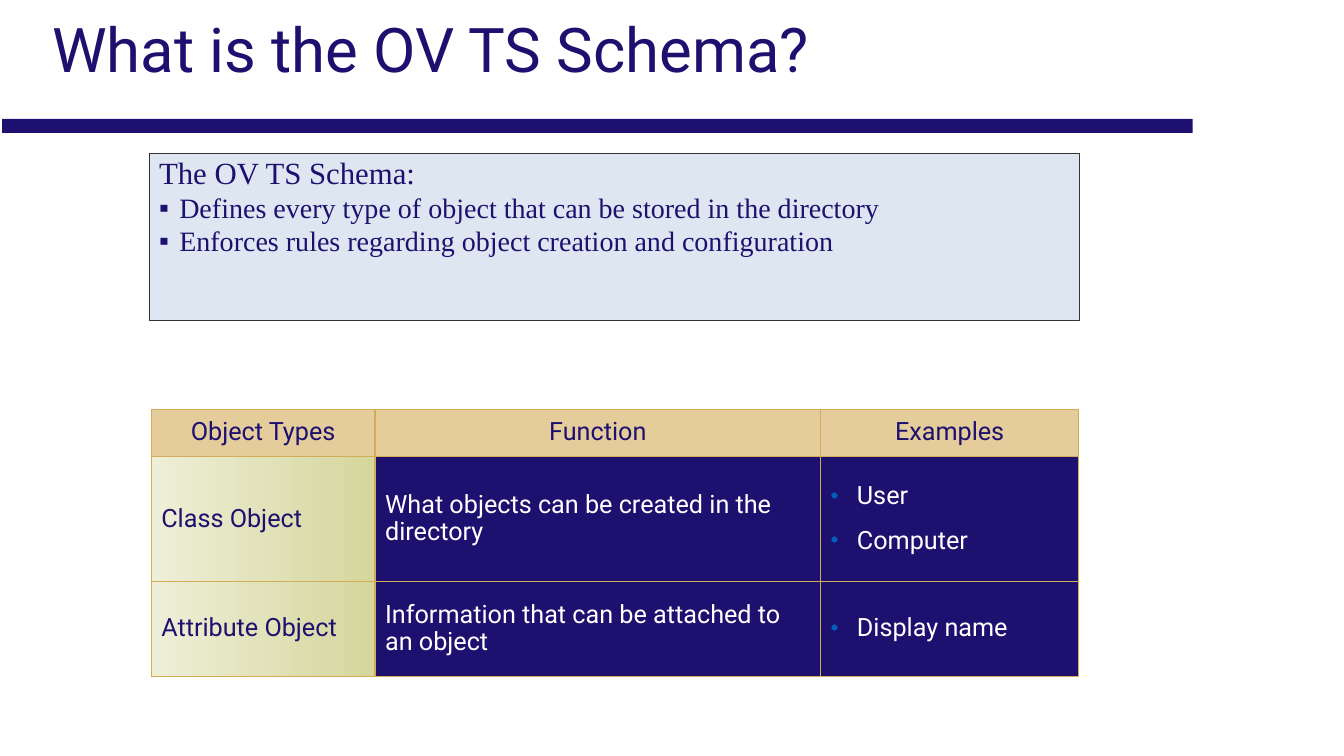
from lxml import etree
from pptx import Presentation
from pptx.dml.color import RGBColor
from pptx.enum import shapes, text
from pptx.oxml import parse_xml
from pptx.oxml.ns import nsdecls, qn
from pptx.util import Inches, Pt

COLORS = {
    "navy": "1D106E", "pale": "DEE7F1", "outline": "333333", "white": "FFFFFF",
    "sand": "E4CD9A", "gold": "D2AC56", "bullet": "005DBA",
    "olive_light": "EEEFD7", "olive": "D5D69C",
}


def rgb(name):
    return RGBColor.from_string(COLORS[name])


def write(para, words, size, color, font="Roboto", bullet=None, **formats):
    """Fill a paragraph; bullet is (character, colour, percent, indent)."""
    for name, value in {"line_spacing": 0.9, **formats}.items():
        setattr(para, name, value)
    span = para.add_run()
    span.text = words
    for name, value in {"size": Pt(size), "name": font, "bold": False}.items():
        setattr(span.font, name, value)
    span.font.color.rgb = rgb(color)
    if bullet:
        mark, mark_color, percent, indent = bullet
        props = para._p.get_or_add_pPr()
        props.set("marL", str(Inches(indent)))
        props.set("indent", str(-Inches(indent)))
        tint = etree.SubElement(props, qn("a:buClr"))
        etree.SubElement(tint, qn("a:srgbClr"), val=COLORS[mark_color])
        etree.SubElement(props, qn("a:buSzPct"), val=str(percent * 1000))
        etree.SubElement(props, qn("a:buFont"), typeface="Arial")
        etree.SubElement(props, qn("a:buChar"), char=mark)


deck = Presentation()
deck.slide_width, deck.slide_height = Inches(13.33), Inches(7.5)
page = deck.slides.add_slide(deck.slide_layouts[6])

# Rule under the title and the definition panel
panels = []
for bounds, fill in (((0.02, 1.18, 11.81, 0.14), "navy"),
                     ((1.48, 1.52, 9.23, 1.66), "pale")):
    panel = page.shapes.add_shape(shapes.MSO_SHAPE.RECTANGLE, *map(Inches, bounds))
    panel.shadow.inherit = False
    panel.fill.solid()
    panel.fill.fore_color.rgb = rgb(fill)
    panel.line.fill.background()
    panels.append(panel)

definition = panels[1]
definition.line.color.rgb = rgb("outline")
definition.line.width = Pt(0.75)
frame = definition.text_frame
frame.word_wrap = True
frame.vertical_anchor = text.MSO_ANCHOR.TOP
square = ("▪", "navy", 100, 0.2)
for index, (words, size, bullet) in enumerate((
        ("The OV TS Schema:", 22, None),
        ("Defines every type of object that can be stored in the directory", 20, square),
        ("Enforces rules regarding object creation and configuration", 20, square))):
    para = frame.add_paragraph() if index else frame.paragraphs[0]
    write(para, words, size, "navy", "Times New Roman", bullet,
          space_after=Pt(2), alignment=text.PP_ALIGN.LEFT)

# Table of object types
rows = (
    (["Object Types"], ["Function"], ["Examples"]),
    (["Class Object"], ["What objects can be created in the directory"], ["User", "Computer"]),
    (["Attribute Object"], ["Information that can be attached to an object"], ["Display name"]),
)
widths, heights = (2.22, 4.42, 2.56), (0.47, 1.24, 0.94)
table = page.shapes.add_table(3, 3, Inches(1.5), Inches(4.06),
                              Inches(sum(widths)), Inches(sum(heights))).table
table.horz_banding = table.first_row = False
for column, width in zip(table.columns, widths):
    column.width = Inches(width)
for row, height in zip(table.rows, heights):
    row.height = Inches(height)

for r, row in enumerate(rows):
    for c, entries in enumerate(row):
        cell = table.cell(r, c)
        cell.vertical_anchor = text.MSO_ANCHOR.MIDDLE
        for side in ("left", "right", "top", "bottom"):
            setattr(cell, f"margin_{side}", Inches(0.1))

        # Header, gradient first column, dark body
        if r and c == 0:
            cell.fill.gradient()
            cell.fill.gradient_angle = 0
            for stop, place, color in zip(cell.fill.gradient_stops, (0, 1),
                                          ("olive_light", "olive")):
                stop.position = place
                stop.color.rgb = rgb(color)
        else:
            cell.fill.solid()
            cell.fill.fore_color.rgb = rgb("navy" if r else "sand")

        for place, edge in enumerate(("lnL", "lnR", "lnT", "lnB")):
            cell._tc.get_or_add_tcPr().insert(place, parse_xml(
                f'<a:{edge} {nsdecls("a")} w="{Pt(1)}"><a:solidFill>'
                f'<a:srgbClr val="{COLORS["gold"]}"/></a:solidFill></a:{edge}>'))

        for index, words in enumerate(entries):
            frame = cell.text_frame
            para = frame.add_paragraph() if index else frame.paragraphs[0]
            write(para, words, 18, "white" if r and c else "navy",
                  bullet=("•", "bullet", 90, 0.26) if r and c == 2 else None,
                  space_before=Pt(12.6 if index else 0),
                  alignment=text.PP_ALIGN.LEFT if r else text.PP_ALIGN.CENTER)

# Title
title = page.shapes.add_textbox(*map(Inches, (0.42, 0.2, 12.6, 1.16)))
title.text_frame.word_wrap = True
write(title.text_frame.paragraphs[0], "What is the OV TS Schema?", 44, "navy",
      line_spacing=0.8)

deck.save("out.pptx")
